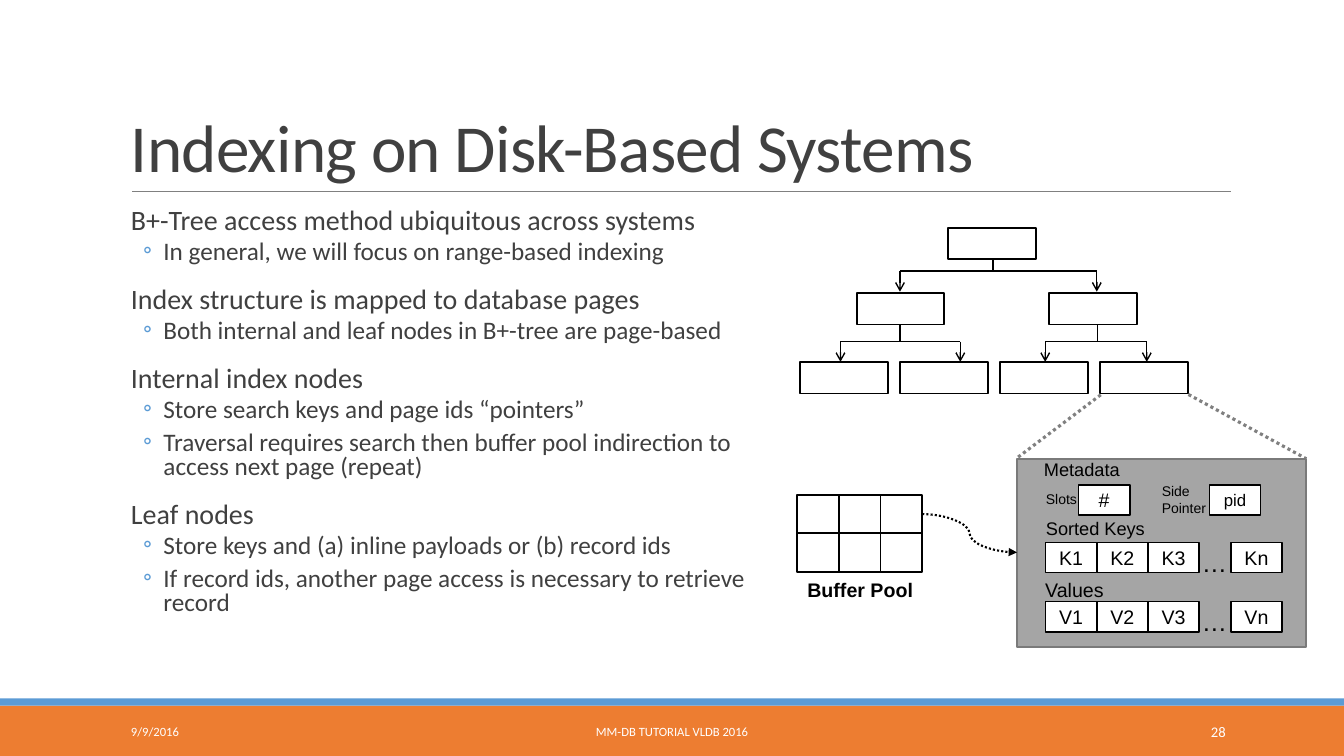
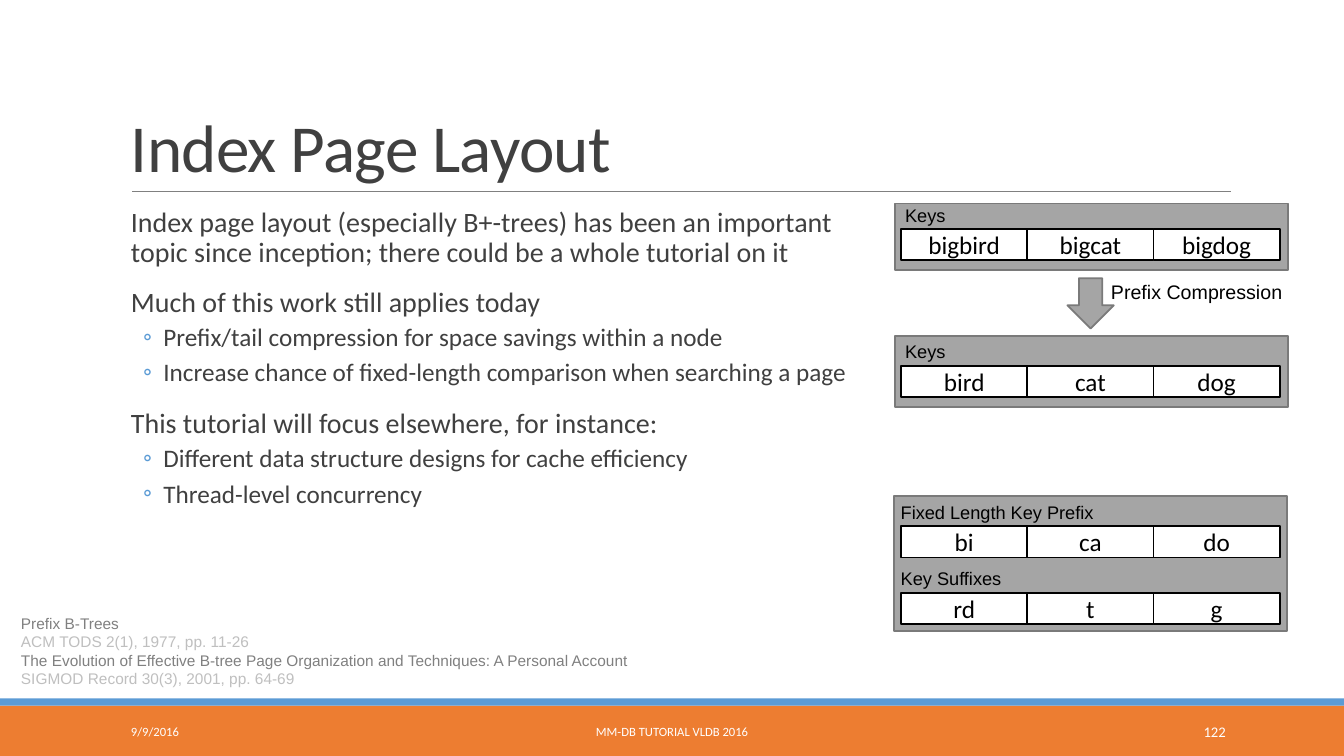
from lxml import etree
from pptx import Presentation
from pptx.dml.color import RGBColor
from pptx.enum import dml, shapes, text
from pptx.oxml import ns
from pptx.util import Cm, Pt

BLACK, WHITE, DARK, GRAY, PALE = "000000", "FFFFFF", "404040", "808080", "BFBFBF"
ORANGE, BLUE, PAGE, PAGE_EDGE = "ED7D31", "5B9BD5", "A5A5A5", "7A7A7A"
LEFT, CENTER, RIGHT = text.PP_ALIGN.LEFT, text.PP_ALIGN.CENTER, text.PP_ALIGN.RIGHT
TOP, MIDDLE, BOTTOM = text.MSO_ANCHOR.TOP, text.MSO_ANCHOR.MIDDLE, text.MSO_ANCHOR.BOTTOM

DISK = {
    "title": "Indexing on Disk-Based Systems",
    "number": "28",
    "box": (3.05, 5.13, 15.82, 11.18),
    "spacing": 0.8,
    "body": [
        (0, "B+-Tree access method ubiquitous across systems"),
        (1, "In general, we will focus on range-based indexing"),
        (0, "Index structure is mapped to database pages"),
        (1, "Both internal and leaf nodes in B+-tree are page-based"),
        (0, "Internal index nodes"),
        (1, "Store search keys and page ids “pointers”"),
        (1, "Traversal requires search then buffer pool indirection to access next page (repeat)"),
        (0, "Leaf nodes"),
        (1, "Store keys and (a) inline payloads or (b) record ids"),
        (1, "If record ids, another page access is necessary to retrieve record"),
    ],
}
LAYOUT = {
    "title": "Index Page Layout",
    "number": "122",
    "box": (3.05, 5.13, 18.64, 9.47),
    "spacing": 0.9,
    "body": [
        (0, "Index page layout (especially B+-trees) has been an important topic since "
            "inception; there could be a whole tutorial on it"),
        (0, "Much of this work still applies today"),
        (1, "Prefix/tail compression for space savings within a node"),
        (1, "Increase chance of fixed-length comparison when searching a page"),
        (0, "This tutorial will focus elsewhere, for instance:"),
        (1, "Different data structure designs for cache efficiency"),
        (1, "Thread-level concurrency"),
    ],
}
FOOTERS = [("9/9/2016", 3.05, 6.86, 9, LEFT),
           ("MM-DB TUTORIAL VLDB 2016", 10.24, 13.39, 9, CENTER)]

NODE_W, NODE_H = 2.21, 0.79
NODES = [(23.9, 5.74), (21.59, 7.39), (26.44, 7.39)]
NODES += [(20.17 + 2.52 * i, 9.13) for i in range(4)]
FORKS = [(25.02, 6.53, 6.83, (22.68, 27.64), 7.35),
         (22.68, 8.2, 8.61, (21.18, 24.2), 9.12),
         (27.66, 8.2, 8.61, (26.34, 28.9), 9.12)]
ZOOM_LINES = [(27.74, 9.95, 25.63, 11.54), (29.95, 9.94, 32.92, 11.56)]

SLOT_X, SLOT_W, SLOT_H, LAST_SLOT_X = 26.35, 1.29, 0.76, 31.02
SLOT_ROWS = [("K", 13.67), ("V", 15.16)]
META_SLOTS = [("#", 27.18, 14), ("pid", 30.48, 12)]
LEAF_LABELS = [("Metadata", 26.06, 11.43, 4.85, 0.81, 13),
               ("Sorted Keys", 26.11, 12.9, 3.86, 0.81, 13),
               ("Values", 26.09, 14.43, 3.86, 0.86, 14),
               ("Slots", 26.11, 12.24, 1.4, 0.69, 10),
               ("Side Pointer", 29.03, 12.04, 1.8, 1.12, 10)]
POOL_X, POOL_Y, POOL_W, POOL_H = 20.09, 12.47, 1.05, 0.97

KEY_PAGES = [(22.56, 5.13, 1.68), (22.56, 8.46, 1.8), (22.53, 12.5, 3.4)]
KEY_ROWS = [("Keys", 22.56, 5.03, 5.77, ("bigbird", "bigcat", "bigdog")),
            ("Keys", 22.56, 8.46, 9.22, ("bird", "cat", "dog")),
            ("Fixed Length Key Prefix", 22.45, 12.5, 13.26, ("bi", "ca", "do")),
            ("Key Suffixes", 22.45, 14.17, 14.94, ("rd", "t", "g"))]
KEY_X, KEY_W, KEY_H = 22.71, 3.18, 0.79
REFERENCES = [
    ("Prefix B-Trees", GRAY),
    ("ACM TODS 2(1), 1977, pp. 11-26", PALE),
    ("The Evolution of Effective B-tree Page Organization and Techniques: A Personal Account", GRAY),
    ("SIGMOD Record 30(3), 2001, pp. 64-69", PALE),
]


def rgb(value):
    return RGBColor.from_string(value)


def write(p, content, size=14, font="Arial", color=BLACK, bold=False, align=LEFT):
    p.alignment = align
    r = p.add_run()
    r.text = content
    r.font.name, r.font.size, r.font.bold = font, Pt(size), bold
    r.font.color.rgb = rgb(color)
    return r


def add_box(slide, x, y, w, h, anchor=TOP):
    sp = slide.shapes.add_textbox(Cm(x), Cm(y), Cm(w), Cm(h))
    tf = sp.text_frame
    tf.word_wrap, tf.vertical_anchor = True, anchor
    return tf


def add_label(slide, content, x, y, w, h, anchor=TOP, **fmt):
    p = add_box(slide, x, y, w, h, anchor).paragraphs[0]
    return p, write(p, content, **fmt)


def add_block(slide, x, y, w, h, fill=WHITE, edge=BLACK, content="",
              kind=shapes.MSO_SHAPE.RECTANGLE, **fmt):
    sp = slide.shapes.add_shape(kind, Cm(x), Cm(y), Cm(w), Cm(h))
    sp.shadow.inherit = False
    sp.fill.solid()
    sp.fill.fore_color.rgb = rgb(fill)
    if edge:
        sp.line.color.rgb = rgb(edge)
        sp.line.width = Pt(1.25)
    else:
        sp.line.fill.background()
    if content:
        tf = sp.text_frame
        tf.margin_left = tf.margin_right = tf.margin_top = tf.margin_bottom = 0
        tf.vertical_anchor = MIDDLE
        write(tf.paragraphs[0], content, align=CENTER, **fmt)
    return sp


def add_line(slide, x1, y1, x2, y2, color=BLACK, width=1, dotted=False, arrow=None,
             kind=shapes.MSO_CONNECTOR.STRAIGHT):
    line = slide.shapes.add_connector(kind, Cm(x1), Cm(y1), Cm(x2), Cm(y2))
    line.line.color.rgb = rgb(color)
    line.line.width = Pt(width)
    if dotted:
        line.line.dash_style = dml.MSO_LINE.ROUND_DOT
    if arrow:
        etree.SubElement(line.line._get_or_add_ln(), ns.qn("a:tailEnd"), type=arrow)
    etree.SubElement(line._element.spPr, ns.qn("a:effectLst"))


def add_bullet(p):
    pPr = p._p.get_or_add_pPr()
    color = etree.SubElement(pPr, ns.qn("a:buClr"))
    etree.SubElement(color, ns.qn("a:srgbClr"), val=BLUE)
    etree.SubElement(pPr, ns.qn("a:buFont"), typeface="Calibri")
    etree.SubElement(pPr, ns.qn("a:buChar"), char="◦")


def add_body(slide, box, spacing, lines):
    tf = add_box(slide, *box)
    tf.margin_left = tf.margin_right = 0
    for i, (level, content) in enumerate(lines):
        p = tf.add_paragraph() if i else tf.paragraphs[0]
        before, after, size, margin, indent = [(12, 2, 20, 0.25, 0), (2, 4, 18, 1.07, -0.51)][level]
        p.line_spacing = spacing
        p.space_before, p.space_after = Pt(before if i else 0), Pt(after)
        pPr = p._p.get_or_add_pPr()
        pPr.set("marL", str(Cm(margin)))
        pPr.set("indent", str(Cm(indent)))
        if level:
            add_bullet(p)
        write(p, content, size=size, font="Calibri", color=DARK)


def add_slide(prs, page):
    slide = prs.slides.add_slide(prs.slide_layouts[6])
    add_block(slide, 0, 17.78, 33.87, 1.27, ORANGE, None)
    add_block(slide, 0, 17.6, 33.87, 0.18, BLUE, None)
    add_line(slide, 3.33, 4.83, 31.01, 4.83, GRAY, 0.5)
    p, r = add_label(slide, page["title"], 3.05, 0.79, 27.94, 4.04, BOTTOM,
                     size=48, font="Calibri", color=DARK)
    p.line_spacing = 0.85
    r.font._element.set("spc", "-50")
    add_body(slide, page["box"], page["spacing"], page["body"])
    for content, x, w, size, align in FOOTERS + [(page["number"], 27.51, 3.63, 10.5, RIGHT)]:
        add_label(slide, content, x, 17.93, w, 1.02, MIDDLE,
                  size=size, font="Calibri", color=WHITE, align=align)
    return slide


def draw_tree(slide):
    for x, y in NODES:
        add_block(slide, x, y, NODE_W, NODE_H)
    for stem, top, bar, ends, bottom in FORKS:
        add_line(slide, stem, top, stem, bar)
        add_line(slide, ends[0], bar, ends[1], bar)
        for x in ends:
            add_line(slide, x, bar, x, bottom, arrow="arrow")
    for ends in ZOOM_LINES:
        add_line(slide, *ends, color=GRAY, width=2.25, dotted=True)


def draw_leaf(slide):
    add_block(slide, 25.63, 11.56, 7.29, 4.75, PAGE, PAGE_EDGE)
    for letter, y in SLOT_ROWS:
        xs = [SLOT_X + i * SLOT_W for i in range(3)] + [LAST_SLOT_X]
        for x, suffix in zip(xs, "123n"):
            add_block(slide, x, y, SLOT_W, SLOT_H, content=letter + suffix)
        add_label(slide, "…", 30.04, y, 1.47, 1.02, size=18)
    for content, x, size in META_SLOTS:
        add_block(slide, x, 12.22, SLOT_W, SLOT_H, content=content, size=size)
    for content, x, y, w, h, size in LEAF_LABELS:
        add_label(slide, content, x, y, w, h, size=size)


def draw_pool(slide):
    for row in range(2):
        for col in range(3):
            add_block(slide, POOL_X + col * POOL_W, POOL_Y + row * POOL_H, POOL_W, POOL_H)
    add_label(slide, "Buffer Pool", POOL_X, 14.43, 3.18, 0.86, bold=True, align=CENTER)
    add_line(slide, POOL_X + 3 * POOL_W, POOL_Y + POOL_H / 2, 25.63, 13.92, width=1.5,
             dotted=True, arrow="triangle", kind=shapes.MSO_CONNECTOR.CURVE)


def draw_key_pages(slide):
    for x, y, h in KEY_PAGES:
        add_block(slide, x, y, 9.91, h, PAGE, PAGE_EDGE)
    for label, x, label_y, y, keys in KEY_ROWS:
        add_label(slide, label, x, label_y, 5.72, 0.81, size=13)
        for i, key in enumerate(keys):
            add_block(slide, KEY_X + i * KEY_W, y, KEY_W, KEY_H,
                      content=key, size=18, font="Calibri")
    add_block(slide, 26.9, 7.01, 1.17, 1.27, PAGE, PAGE_EDGE, kind=shapes.MSO_SHAPE.DOWN_ARROW)
    add_label(slide, "Prefix Compression", 27.66, 6.93, 5, 0.86, align=CENTER)


def draw_references(slide):
    tf = add_box(slide, 0.28, 15.34, 17.65, 2.62)
    for i, (content, color) in enumerate(REFERENCES):
        p = tf.add_paragraph() if i else tf.paragraphs[0]
        write(p, content, size=11, color=color)


def main():
    prs = Presentation()
    prs.slide_width, prs.slide_height = Cm(33.87), Cm(19.05)
    slide = add_slide(prs, DISK)
    draw_tree(slide)
    draw_leaf(slide)
    draw_pool(slide)
    slide = add_slide(prs, LAYOUT)
    draw_key_pages(slide)
    draw_references(slide)
    prs.save("out.pptx")


if __name__ == "__main__":
    main()
